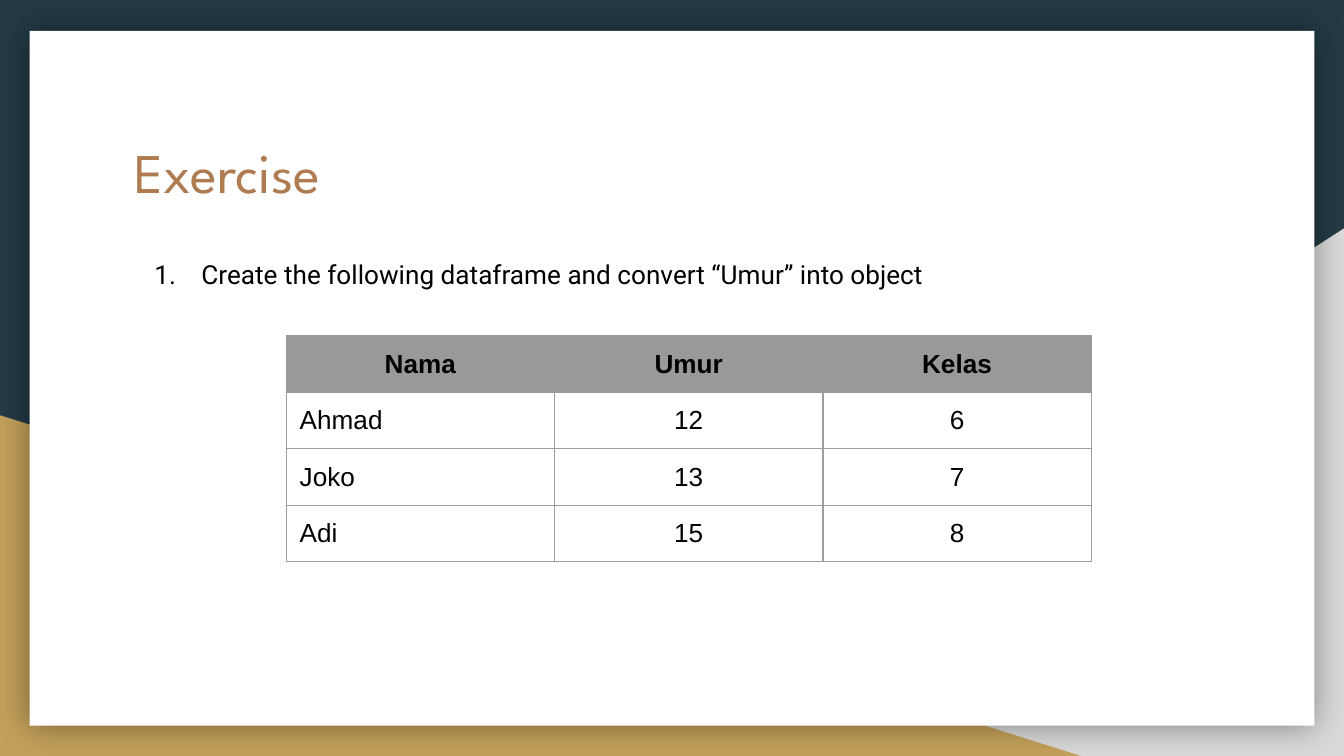
from lxml import etree
from pptx import Presentation
from pptx.dml.color import RGBColor
from pptx.enum.shapes import MSO_SHAPE
from pptx.enum.text import MSO_ANCHOR, PP_ALIGN
from pptx.oxml.ns import qn
from pptx.util import Inches, Pt

RECT, WEDGE = MSO_SHAPE.RECTANGLE, MSO_SHAPE.RIGHT_TRIANGLE
LEFT, CENTER = PP_ALIGN.LEFT, PP_ALIGN.CENTER
TOP, MIDDLE = MSO_ANCHOR.TOP, MSO_ANCHOR.MIDDLE

COLORS = {
    "navy": "233A44", "silver": "D9D9D9", "gold": "C4A15A", "white": "FFFFFF",
    "brown": "AF7B51", "black": "000000", "head": "999999", "grid": "9E9E9E",
}
TITLE = "Exercise"
TASK = "Create the following dataframe and convert “Umur” into object"
ROWS = [
    ("Nama", "Umur", "Kelas"),
    ("Ahmad", "12", "6"),
    ("Joko", "13", "7"),
    ("Adi", "15", "8"),
]
TABLE_W, ROW_H = 5.99, 0.42
COL_W = TABLE_W / len(ROWS[0])


def color(name):
    """Look up a colour."""
    return RGBColor.from_string(COLORS[name])


def sub(parent, tag, **attrs):
    """Add an XML child with attributes."""
    node = etree.SubElement(parent, qn(tag))
    for key, val in attrs.items():
        node.set(key, str(val))
    return node


def panel(kind, box, fill):
    """Draw a plain filled shape."""
    shape = slide.shapes.add_shape(kind, *map(Inches, box))
    shape.shadow.inherit = False
    shape.fill.solid()
    shape.fill.fore_color.rgb = color(fill)
    shape.line.fill.background()
    return shape


def write(para, text, size, font, tint, bold=False):
    """Add one styled run."""
    run = para.add_run()
    run.text = text
    run.font.size, run.font.name, run.font.bold = Pt(size), font, bold
    run.font.color.rgb = color(tint)


def label(box):
    """Add a text box and return its first paragraph."""
    frame = slide.shapes.add_textbox(*map(Inches, box)).text_frame
    frame.word_wrap = True
    frame.vertical_anchor = TOP
    frame.margin_left = frame.margin_right = Inches(0.1)
    frame.margin_top = frame.margin_bottom = Inches(0.1)
    return frame.paragraphs[0]


def border(cell, side, tint):
    """Draw one edge of a cell."""
    line = sub(cell._tc.get_or_add_tcPr(), "a:ln" + side, w=Pt(0.75))
    sub(sub(line, "a:solidFill"), "a:srgbClr", val=COLORS[tint])


def fill_cell(cell, text, row, col):
    """Style and fill a table cell."""
    head = row == 0
    cell.margin_left = cell.margin_right = Inches(0.1)
    cell.margin_top = cell.margin_bottom = Inches(0.09)
    cell.vertical_anchor = MIDDLE
    for side in "LRTB":
        dark = head or (row == 1 and side == "T")
        border(cell, side, "head" if dark else "grid")
    if head:
        cell.fill.solid()
        cell.fill.fore_color.rgb = color("head")
    else:
        cell.fill.background()
    para = cell.text_frame.paragraphs[0]
    para.alignment = CENTER if head or col else LEFT
    write(para, text, 14, "Arial", "black", head)


deck = Presentation()
deck.slide_width = Inches(10)
deck.slide_height = deck.slide_width * 9 // 16
slide = deck.slides.add_slide(deck.slide_layouts[6])
slide.background.fill.solid()
slide.background.fill.fore_color.rgb = color("navy")

right = panel(WEDGE, (3.92, 1.7, 6.08, 3.93), "silver")
right._element.spPr.xfrm.set("flipH", "1")
panel(WEDGE, (0, 3.09, 8.06, 2.54), "gold")
card = panel(RECT, (0.22, 0.23, 9.56, 5.17), "white")
glow = sub(card._element.spPr.find(qn("a:effectLst")), "a:outerShdw",
           blurRad=Pt(18), dist=0, dir=0, algn="ctr", rotWithShape=0)
sub(sub(glow, "a:srgbClr", val=COLORS["black"]), "a:alpha", val=40000)

write(label((0.9, 0.92, 8.21, 1.04)), TITLE, 30, "League Spartan", "brown")

table = slide.shapes.add_table(
    len(ROWS), len(ROWS[0]), Inches(2.13), Inches(2.5),
    Inches(TABLE_W), Inches(ROW_H * len(ROWS))).table
table.first_row = table.horz_banding = False
for column in table.columns:
    column.width = Inches(COL_W)
for r, row in enumerate(ROWS):
    table.rows[r].height = Inches(ROW_H)
    for c, text in enumerate(row):
        fill_cell(table.cell(r, c), text, r, c)

task = label((0.9, 1.79, 7.41, 0.71))
task.line_spacing, task.space_before = 1.15, Pt(11)
props = task._p.get_or_add_pPr()
props.set("marL", str(Inches(0.5)))
props.set("indent", str(Inches(-0.35)))
sub(sub(props, "a:buClr"), "a:srgbClr", val=COLORS["black"])
sub(props, "a:buFont", typeface="Roboto")
sub(props, "a:buAutoNum", type="arabicPeriod")
write(task, TASK, 14, "Roboto", "black")

deck.save("out.pptx")
